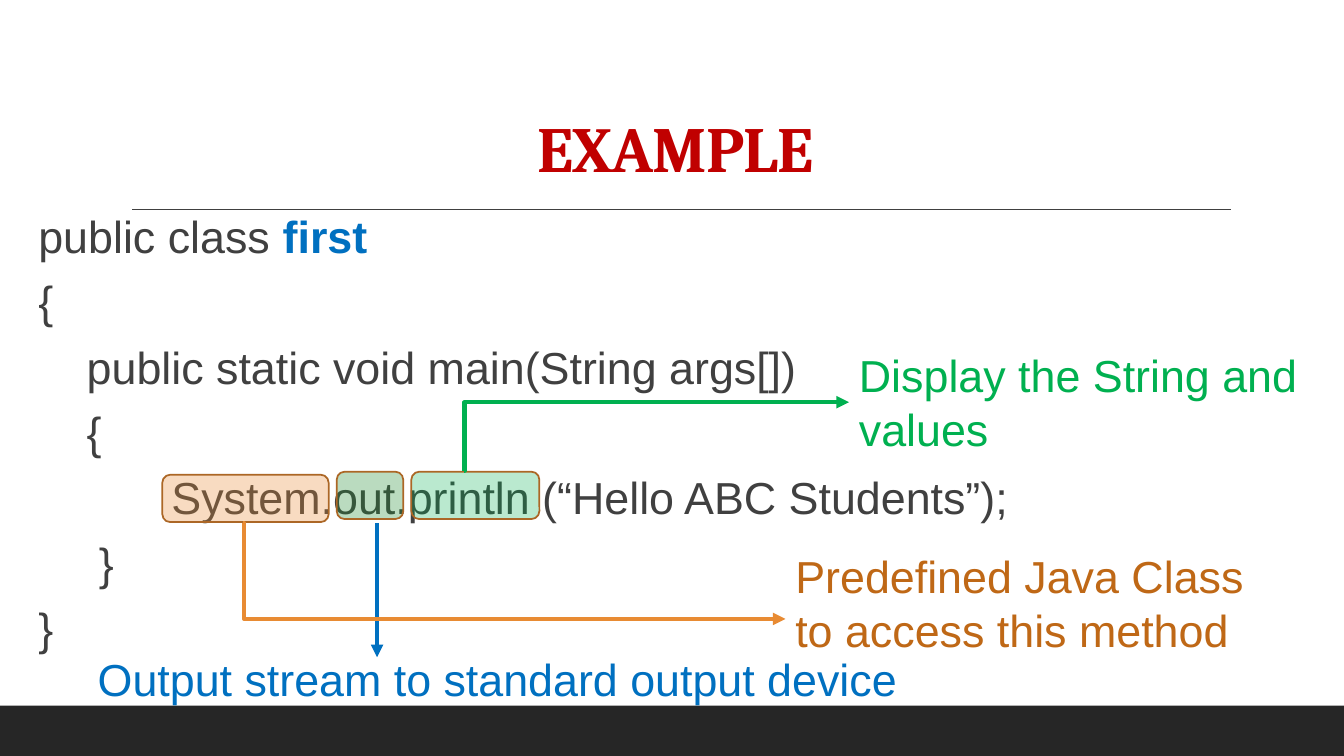
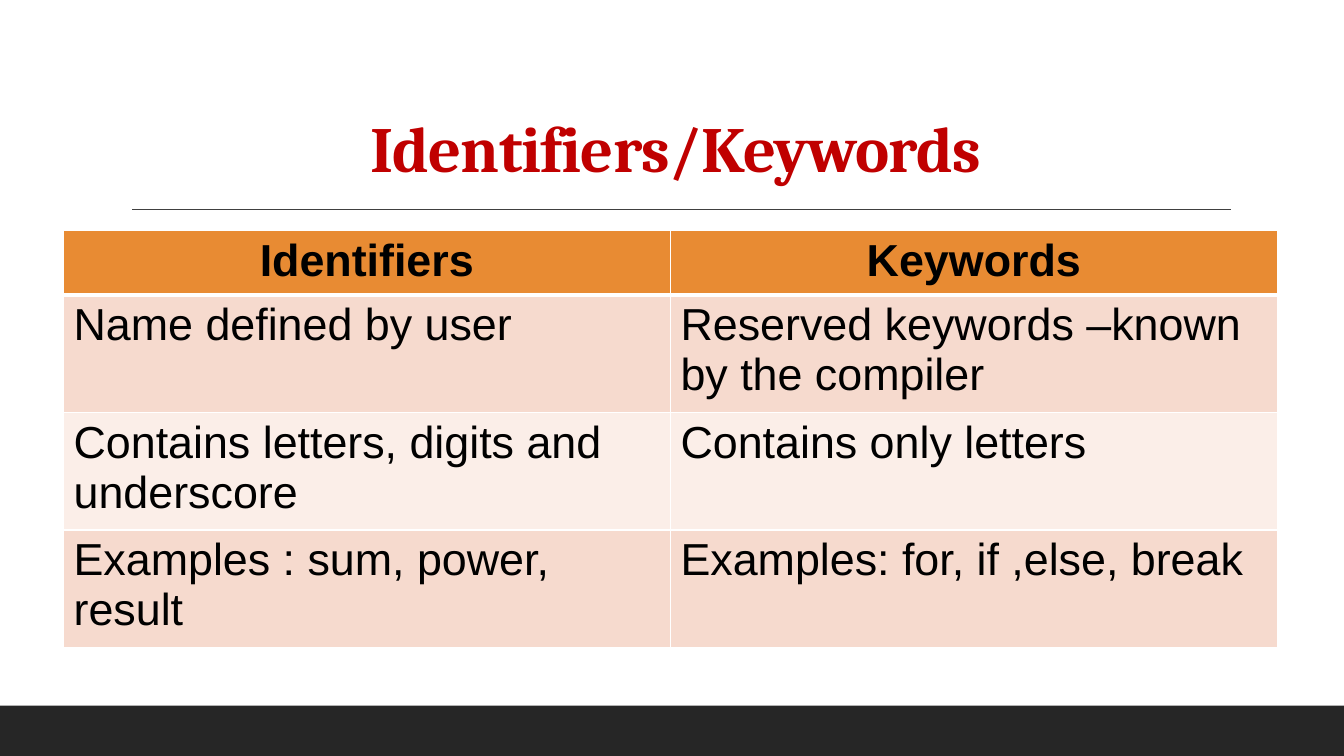
from collections import namedtuple
from dataclasses import dataclass

from lxml.etree import SubElement
from pptx import Presentation
from pptx.dml.color import RGBColor
from pptx.enum.shapes import MSO_CONNECTOR, MSO_SHAPE
from pptx.enum.text import MSO_ANCHOR, PP_ALIGN
from pptx.oxml.ns import qn
from pptx.util import Inches, Pt

RECT, ROUND = MSO_SHAPE.RECTANGLE, MSO_SHAPE.ROUNDED_RECTANGLE
STRAIGHT, ELBOW = MSO_CONNECTOR.STRAIGHT, MSO_CONNECTOR.ELBOW
CENTER, LEFT = PP_ALIGN.CENTER, PP_ALIGN.LEFT
TOP, BOTTOM = MSO_ANCHOR.TOP, MSO_ANCHOR.BOTTOM

Box = namedtuple("Box", "x y w h")


@dataclass(frozen=True)
class Theme:
    head: str = "Cambria"
    body: str = "Arial"
    big: float = 46
    size: float = 32
    lead: float = 38.6
    space: float = 0.12  # width of one code column, in inches
    red: str = "C00000"
    ink: str = "404040"
    band: str = "262626"
    blue: str = "0070C0"
    green: str = "00B050"
    leaf: str = "228C32"
    orange: str = "E88B33"
    rust: str = "BF6816"
    edge: str = "AC6726"
    black: str = "000000"
    white: str = "FFFFFF"
    rows: tuple = ("F6DACE", "FBEEE8")


T = Theme()


# Basic parts

def rgb(color):
    return RGBColor.from_string(color)


def inch(box):
    return [Inches(v) for v in box]


def style(font, color, size=T.size, name=T.body, bold=False):
    font.name, font.size, font.bold = name, Pt(size), bold
    font.color.rgb = rgb(color)


def add_text(slide, box, anchor=TOP):
    frame = slide.shapes.add_textbox(*inch(box)).text_frame
    frame.word_wrap = True
    frame.vertical_anchor = anchor
    return frame


def add_box(slide, kind, box, color):
    shape = slide.shapes.add_shape(kind, *inch(box))
    shape.shadow.inherit = False
    shape.fill.solid()
    shape.fill.fore_color.rgb = rgb(color)
    shape.line.fill.background()
    return shape


def add_line(slide, start, end, color, width, kind=STRAIGHT, arrow=False):
    line = slide.shapes.add_connector(kind, *inch((*start, *end)))
    line.line.color.rgb = rgb(color)
    line.line.width = Pt(width)
    props = line.element.spPr
    if arrow:
        SubElement(props.find(qn("a:ln")), qn("a:tailEnd"), type="triangle")
    if kind == ELBOW:  # turn right at the start
        guides = props.find(qn("a:prstGeom")).find(qn("a:avLst"))
        SubElement(guides, qn("a:gd"), name="adj1", fmla="val 200")
    SubElement(props, qn("a:effectLst"))


# Shared frame: footer band, rule and title

def add_frame(deck, title):
    slide = deck.slides.add_slide(deck.slide_layouts[6])
    add_box(slide, RECT, Box(0, 7, 13.33, 0.5), T.band)
    add_line(slide, (1.31, 2.08), (12.21, 2.08), T.ink, 1)
    para = add_text(slide, Box(1.2, 0.31, 11, 1.59), BOTTOM).paragraphs[0]
    para.alignment, para.line_spacing = CENTER, 0.9
    run = para.add_run()
    run.text = title
    style(run.font, T.red, T.big, T.head, True)
    run.font._element.set("spc", "-50")
    return slide


# Code listing with marked tokens and callouts

CODE = [  # indent in columns, text, highlighted text
    (0, "public class ", "first"),
    (0, "{", ""),
    (4, "public static void main(String args[])", ""),
    (4, "{", ""),
    (11, "System.out.println (“Hello ABC Students”);", ""),
    (5, "}", ""),
    (0, "}", ""),
]
TOKENS = [  # place, fill, opacity in percent
    (Box(3.7, 2.66, 1.27, 0.47), T.green, 27),
    (Box(1.23, 2.69, 1.65, 0.47), T.orange, 30),
    (Box(2.96, 2.66, 0.66, 0.47), T.leaf, 31),
]
NOTES = [
    (Box(8.04, 1.38, 4.82, 1.18), "Display the String and values", T.green),
    (Box(7.41, 3.37, 4.67, 1.18),
     "Predefined Java Class to access this method", T.rust),
    (Box(0.49, 4.39, 9.68, 0.64),
     "Output stream to standard output device", T.blue),
]
ARROWS = [
    ((3.36, 3.17), (3.36, 4.5), T.blue, STRAIGHT),
    ((2.03, 3.17), (7.41, 4.12), T.orange, ELBOW),
    ((4.22, 2.65), (8.04, 1.97), T.green, ELBOW),
]


def add_code(slide, box):
    frame = add_text(slide, box)
    frame.margin_left = frame.margin_right = 0
    for i, (cols, text, mark) in enumerate(CODE):
        para = frame.add_paragraph() if i else frame.paragraphs[0]
        para.space_before, para.space_after = Pt(6), Pt(2)
        para.line_spacing = Pt(T.lead)
        style(para.font, T.ink)
        indent = Inches(round(cols * T.space, 2))
        para._p.get_or_add_pPr().set("marL", str(indent))
        para.add_run().text = text
        if mark:
            run = para.add_run()
            run.text = mark
            style(run.font, T.blue, bold=True)


def add_marks(slide, box):
    def at(x, y):
        return box.x + x, box.y + y

    # Translucent tokens
    for part, color, alpha in TOKENS:
        token = add_box(slide, ROUND, (*at(*part[:2]), *part[2:]), color)
        token.line.color.rgb = rgb(T.edge)
        token.line.width = Pt(1.25)
        fill = token.element.spPr.find(qn("a:solidFill"))
        SubElement(fill[0], qn("a:alpha"), val=str(alpha * 1000))
    # Callouts
    for part, text, color in NOTES:
        para = add_text(slide, (*at(*part[:2]), *part[2:])).paragraphs[0]
        para.text = text
        para.line_spacing = Pt(T.lead)
        style(para.font, color)
    # Arrows
    for start, end, color, kind in ARROWS:
        add_line(slide, at(*start), at(*end), color, 3, kind, True)


# Comparison table

ROWS = [
    ("Identifiers", "Keywords"),
    ("Name defined by user", "Reserved keywords –known by the compiler"),
    ("Contains letters, digits and underscore", "Contains only letters"),
    ("Examples : sum, power, result", "Examples: for, if ,else, break"),
]


def add_edges(cell, row):
    props = cell._tc.get_or_add_tcPr()
    widths = {"L": 1, "R": 1, "T": 3 if row == 1 else 1,
              "B": 3 if row == 0 else 1}
    for side, width in widths.items():
        edge = SubElement(props, qn("a:ln" + side), w=str(Pt(width)))
        fill = SubElement(edge, qn("a:solidFill"))
        SubElement(fill, qn("a:srgbClr"), val=T.white)


def add_grid(slide, box):
    count = len(ROWS[0])
    grid = slide.shapes.add_table(len(ROWS), count, *inch(box)).table
    head = 0.59
    for col in grid.columns:
        col.width = Inches(box.w / count)
    for r, texts in enumerate(ROWS):
        height = (box.h - head) / (len(ROWS) - 1) if r else head
        grid.rows[r].height = Inches(height)
        for c, text in enumerate(texts):
            cell = grid.cell(r, c)
            add_edges(cell, r)
            cell.fill.solid()
            color = T.rows[(r - 1) % 2] if r else T.orange
            cell.fill.fore_color.rgb = rgb(color)
            para = cell.text_frame.paragraphs[0]
            para.text = text
            para.alignment = LEFT if r else CENTER
            style(para.font, T.black, bold=r == 0)


def main():
    deck = Presentation()
    deck.slide_width, deck.slide_height = Inches(13.33), Inches(7.5)

    slide = add_frame(deck, "EXAMPLE")
    area = Box(0.38, 2.02, 9.79, 4.9)
    add_code(slide, area)
    add_marks(slide, area)

    slide = add_frame(deck, "Identifiers/Keywords")
    add_grid(slide, Box(0.63, 2.29, 12.04, 3.86))

    deck.save("out.pptx")


if __name__ == "__main__":
    main()
